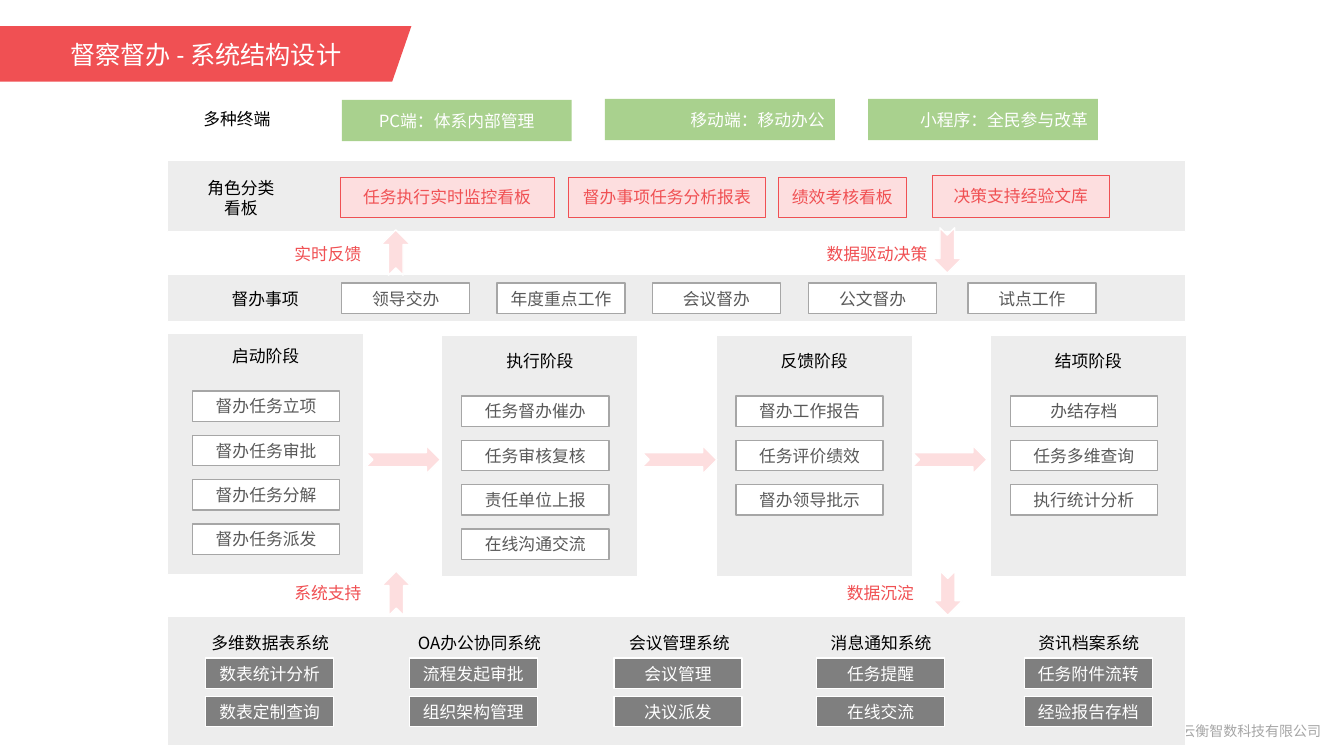
"""Build the system structure slide for task supervision."""
from dataclasses import dataclass

from lxml import etree
from pptx import Presentation
from pptx.dml.color import RGBColor
from pptx.enum.shapes import MSO_SHAPE
from pptx.enum.text import MSO_ANCHOR, MSO_AUTO_SIZE, PP_ALIGN
from pptx.oxml.ns import qn
from pptx.util import Inches, Pt

RECTANGLE = MSO_SHAPE.RECTANGLE
ARROW = MSO_SHAPE.NOTCHED_RIGHT_ARROW
LEFT, CENTER, RIGHT = PP_ALIGN.LEFT, PP_ALIGN.CENTER, PP_ALIGN.RIGHT
TOP, MIDDLE = MSO_ANCHOR.TOP, MSO_ANCHOR.MIDDLE


@dataclass(frozen=True)
class Theme:
    red: str = "F05053"
    pink: str = "FDDEDF"
    green: str = "A9D18E"
    panel: str = "EDEDED"
    white: str = "FFFFFF"
    black: str = "000000"
    border: str = "A6A6A6"
    gray_text: str = "595959"
    dark: str = "7F7F7F"
    font: str = "Noto Sans CJK SC"
    title_font: str = "Calibri"
    title_size: int = 18
    body_size: int = 12
    footer_size: int = 10


theme = Theme()
presentation = Presentation()
presentation.slide_width = Inches(13.33)
presentation.slide_height = Inches(7.5)
slide = presentation.slides.add_slide(presentation.slide_layouts[6])


def write_text(text, shape=None, area=None, color=theme.black, size=theme.body_size,
               font=theme.font, align=CENTER, anchor=MIDDLE, grow=False):
    """Write text in a shape, or in a new text box covering the area."""
    if shape is None:
        shape = slide.shapes.add_textbox(*map(Inches, area))
    frame = shape.text_frame
    frame.word_wrap = True
    frame.vertical_anchor = anchor
    if grow:
        frame.auto_size = MSO_AUTO_SIZE.SHAPE_TO_FIT_TEXT
    paragraph = frame.paragraphs[0]
    paragraph.alignment = align
    run = paragraph.add_run()
    run.text = text
    run.font.name = font
    run.font.size = Pt(size)
    run.font.color.rgb = RGBColor.from_string(color)
    east_asian = etree.SubElement(run.font._element, qn("a:ea"))
    east_asian.set("typeface", theme.font)
    return shape


def add_box(area, fill, line=None, line_width=1, kind=RECTANGLE, rotation=0):
    """Add a flat filled shape covering the area."""
    shape = slide.shapes.add_shape(kind, *map(Inches, area))
    shape.shadow.inherit = False
    shape.rotation = rotation
    shape.fill.solid()
    shape.fill.fore_color.rgb = RGBColor.from_string(fill)
    if line:
        shape.line.color.rgb = RGBColor.from_string(line)
        shape.line.width = Pt(line_width)
    else:
        shape.line.fill.background()
    return shape


footer = write_text("云衡智数科技有限公司", area=(10.97, 7.11, 2.23, 0.31), color=theme.border,
                    size=theme.footer_size, align=RIGHT)
footer.text_frame.paragraphs[0].line_spacing = 0.9

for top, height in [(1.59, 0.71), (2.72, 0.47), (6.11, 1.29)]:
    add_box((1.66, top, 10.1, height), theme.panel, theme.white)

row_labels = [
    ("多种终端", (1.91, 1.03, 0.88, 0.3)),
    ("角色分类看板", (1.95, 1.71, 0.88, 0.5)),
    ("督办事项", (2.19, 2.82, 0.88, 0.3)),
]
for text, area in row_labels:
    write_text(text, area=area, anchor=TOP, grow=True)

terminals = [
    ("PC端：体系内部管理", 3.39, 0.99, CENTER),
    ("移动端：移动办公", 6, 0.98, RIGHT),
    ("小程序：全民参与改革", 8.61, 0.98, RIGHT),
]
for text, left, top, align in terminals:
    box = add_box((left, top, 2.28, 0.41), theme.green)
    write_text(text, shape=box, color=theme.white, align=align)

dashboards = [
    ("任务执行实时监控看板", (3.37, 1.76, 2.13, 0.39)),
    ("督办事项任务分析报表", (5.64, 1.76, 1.95, 0.39)),
    ("绩效考核看板", (7.72, 1.76, 1.27, 0.39)),
    ("决策支持经验文库", (9.25, 1.74, 1.75, 0.41)),
]
for text, area in dashboards:
    box = add_box(area, theme.pink, theme.red, line_width=0.25)
    write_text(text, shape=box, color=theme.red)

matters = [("领导交办", 3.39), ("年度重点工作", 4.93), ("会议督办", 6.47),
           ("公文督办", 8.02), ("试点工作", 9.6)]
for text, left in matters:
    box = add_box((left, 2.81, 1.27, 0.3), theme.white, theme.border)
    write_text(text, shape=box, color=theme.gray_text)

stages = [
    ("启动阶段", 3.31, 3.38, 0.25,
     ["督办任务立项", "督办任务审批", "督办任务分解", "督办任务派发"]),
    ("执行阶段", 3.33, 3.43, 0.2,
     ["任务督办催办", "任务审核复核", "责任单位上报", "在线沟通交流"]),
    ("反馈阶段", 3.33, 3.43, 0.2, ["督办工作报告", "任务评价绩效", "督办领导批示"]),
    ("结项阶段", 3.33, 3.43, 0.2, ["办结存档", "任务多维查询", "执行统计分析"]),
]
for index, (name, panel_top, label_top, indent, tasks) in enumerate(stages):
    panel_left = 1.66 + 2.72 * index
    add_box((panel_left, panel_top, 1.95, 2.39), theme.panel, theme.white)
    write_text(name, area=(panel_left + 0.49, label_top, 0.97, 0.3), anchor=TOP, grow=True)
    for row, task in enumerate(tasks):
        task_top = label_top + 0.5 + 0.44 * row
        box = add_box((panel_left + indent, task_top, 1.46, 0.3), theme.white, theme.border)
        write_text(task, shape=box, color=theme.gray_text)

systems = [
    ("多维数据表系统", 1.97, 1.42, 2.04, ["数表统计分析", "数表定制查询"]),
    ("OA办公协同系统", 3.96, 1.59, 4.06, ["流程发起审批", "组织架构管理"]),
    ("会议管理系统", 6.01, 1.46, 6.09, ["会议管理", "决议派发"]),
    ("消息通知系统", 8.01, 1.46, 8.1, ["任务提醒", "在线交流"]),
    ("资讯档案系统", 10.07, 1.46, 10.16, ["任务附件流转", "经验报告存档"]),
]
for name, label_left, label_width, box_left, functions in systems:
    write_text(name, area=(label_left, 6.23, label_width, 0.3), anchor=TOP, grow=True)
    for row, function in enumerate(functions):
        box = add_box((box_left, 6.53 + 0.38 * row, 1.27, 0.3), theme.dark, theme.white)
        write_text(function, shape=box, color=theme.white)

arrows = [
    ((3.63, 4.42, 0.74, 0.28), 0),
    ((6.37, 4.42, 0.74, 0.28), 0),
    ((9.05, 4.42, 0.74, 0.28), 0),
    ((3.7, 2.36, 0.45, 0.29), 270),
    ((9.17, 2.34, 0.45, 0.29), 90),
    ((3.71, 5.74, 0.44, 0.29), 270),
    ((9.18, 5.74, 0.44, 0.29), 90),
]
for area, rotation in arrows:
    add_box(area, theme.pink, theme.white, kind=ARROW, rotation=rotation)

flow_labels = [("实时反馈", 2.82, 2.37, 1.01), ("数据驱动决策", 8.1, 2.37, 1.21),
               ("系统支持", 2.82, 5.73, 1.01), ("数据沉淀", 8.3, 5.73, 1.01)]
for text, left, top, width in flow_labels:
    write_text(text, area=(left, top, width, 0.3), color=theme.red, align=LEFT,
               anchor=TOP, grow=True)

outline = slide.shapes.build_freeform(Inches(0), Inches(0.26))
outline.add_line_segments([(Inches(x), Inches(y)) for x, y in
                           [(4.08, 0.26), (3.89, 0.81), (0, 0.81)]], close=True)
banner = outline.convert_to_shape()
banner.shadow.inherit = False
banner.fill.solid()
banner.fill.fore_color.rgb = RGBColor.from_string(theme.red)
banner.line.fill.background()
write_text("督察督办 - 系统结构设计", shape=banner, color=theme.white,
           size=theme.title_size, font=theme.title_font)

presentation.save("out.pptx")
